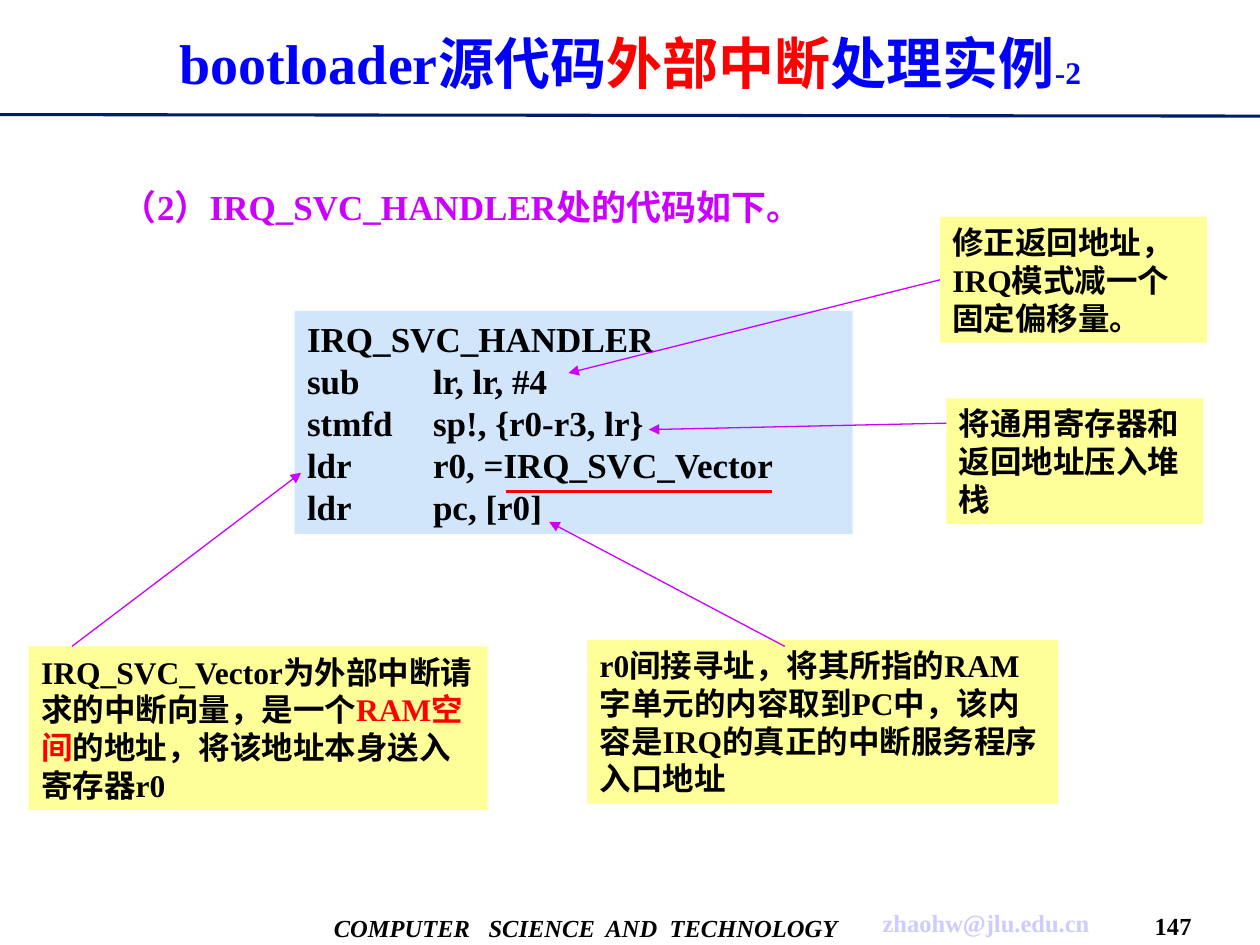
"""Build the slide on the external interrupt handler of the bootloader."""
from dataclasses import dataclass

from lxml import etree
from pptx import Presentation
from pptx.dml.color import RGBColor as RGB
from pptx.enum.shapes import MSO_CONNECTOR as LINE, MSO_SHAPE as SHAPE
from pptx.enum.text import MSO_ANCHOR as ANCHOR, PP_ALIGN as ALIGN
from pptx.oxml.ns import qn
from pptx.util import Cm, Pt


@dataclass(frozen=True)
class Theme:
    font: str = "Times New Roman"
    black: str = "000000"
    blue: str = "0000FF"
    red: str = "FF0000"
    purple: str = "CC00FF"
    navy: str = "001E64"
    pale: str = "CCCCFF"
    code_fill: str = "D1E5FB"
    note_fill: str = "FFFF99"
    title: int = 32
    body: int = 20
    note: int = 18
    footer: int = 14


T = Theme()


def add_text(box, lines, size, fill=None, align=ALIGN.LEFT, anchor=ANCHOR.TOP, tabs=()):
    if fill:
        sp = s.shapes.add_shape(SHAPE.RECTANGLE, *map(Cm, box))
        sp.shadow.inherit = False
        sp.fill.solid()
        sp.fill.fore_color.rgb = RGB.from_string(fill)
        sp.line.fill.background()
    else:
        sp = s.shapes.add_textbox(*map(Cm, box))
    tf = sp.text_frame
    tf.word_wrap = True
    tf.vertical_anchor = anchor
    for i, runs in enumerate(lines):
        p = tf.add_paragraph() if i else tf.paragraphs[0]
        p.alignment = align
        if tabs:
            stops = etree.SubElement(p._p.get_or_add_pPr(), qn("a:tabLst"))
            for pos in tabs:
                etree.SubElement(stops, qn("a:tab"), pos=str(Cm(pos)), algn="l")
        for text, color, *own_size in runs:
            r = p.add_run()
            r.text = text
            r.font.name = T.font
            r.font.size = Pt(own_size[0] if own_size else size)
            r.font.bold = True
            r.font.color.rgb = RGB.from_string(color)
    return sp


def add_line(start, end, color, width, arrow=False):
    cx = s.shapes.add_connector(LINE.STRAIGHT, *map(Cm, start + end))
    cx.line.color.rgb = RGB.from_string(color)
    cx.line.width = Pt(width)
    if arrow:
        etree.SubElement(cx.line._get_or_add_ln(), qn("a:tailEnd"), type="triangle")
    etree.SubElement(cx._element.spPr, qn("a:effectLst"))
    return cx


prs = Presentation()
prs.slide_width, prs.slide_height = Cm(25.4), Cm(19.05)
s = prs.slides.add_slide(prs.slide_layouts[6])

add_line((0, 2.31), (25.4, 2.34), T.navy, 1.75)

footers = [
    ((6.73, 18.16, 10.4, 1.07), "COMPUTER\tSCIENCE\tAND\tTECHNOLOGY", T.black, True,
     ALIGN.LEFT, (3.12, 5.48, 6.77)),
    ((17.58, 18.14, 4.6, 0.91), "zhaohw@jlu.edu.cn", T.pale, False, ALIGN.CENTER, ()),
    ((23.09, 18.26, 1.12, 0.79), "147", T.black, False, ALIGN.CENTER, ()),
]
for box, text, color, italic, align, tabs in footers:
    sp = add_text(box, [[(text, color)]], T.footer, align=align, anchor=ANCHOR.MIDDLE, tabs=tabs)
    tf = sp.text_frame
    tf.margin_left = tf.margin_right = 0
    for r in tf.paragraphs[0].runs:
        r.font.italic = italic

title = [("bootloader源代码", T.blue), ("外部中断", T.red),
         ("处理实例", T.blue), ("-2", T.blue, T.note)]
add_text((0.81, 0.2, 23.8, 2.11), [title], T.title, align=ALIGN.CENTER, anchor=ANCHOR.MIDDLE)
add_text((2.21, 3.61, 21.31, 1.3), [[("（2）IRQ_SVC_HANDLER处的代码如下。", T.purple)]], T.body)

code = [
    "IRQ_SVC_HANDLER",
    "sub\tlr, lr, #4",
    "stmfd\tsp!, {r0-r3, lr}",
    "ldr\tr0, =IRQ_SVC_Vector",
    "ldr\tpc, [r0]",
]
add_text((5.94, 6.27, 11.25, 4.5), [[(line, T.black)] for line in code], T.body, T.code_fill,
         tabs=(2.54,))

notes = [
    ((18.95, 4.37, 5.38, 2.54), [("修正返回地址，IRQ模式减一个固定偏移量。", T.black)]),
    ((19.08, 8.03, 5.18, 2.54), [("将通用寄存器和返回地址压入堆栈", T.black)]),
    ((0.58, 13.03, 9.25, 3.3), [("IRQ_SVC_Vector为外部中断请求的中断向量，是一个", T.black),
                                ("RAM空间", T.red),
                                ("的地址，将该地址本身送入寄存器r0", T.black)]),
    ((11.84, 12.9, 9.5, 3.3), [("r0间接寻址，将其所指的RAM字单元的内容取到PC中，"
                                "该内容是IRQ的真正的中断服务程序入口地址", T.black)]),
]
note_shapes = [add_text(box, [runs], T.note, T.note_fill) for box, runs in notes]

arrows = [
    ((18.95, 5.64), (11.46, 7.52)),
    ((19.08, 8.53), (13.08, 8.66)),
    ((1.45, 13.03), (6.07, 9.53)),
    ((15.82, 13.03), (11.07, 10.52)),
]
arrow_shapes = [add_line(start, end, T.purple, 0.75, arrow=True) for start, end in arrows]
arrow_shapes[0].begin_connect(note_shapes[0], 1)

add_line((10.21, 9.91), (15.57, 9.91), T.red, 1.5)

prs.save("out.pptx")
